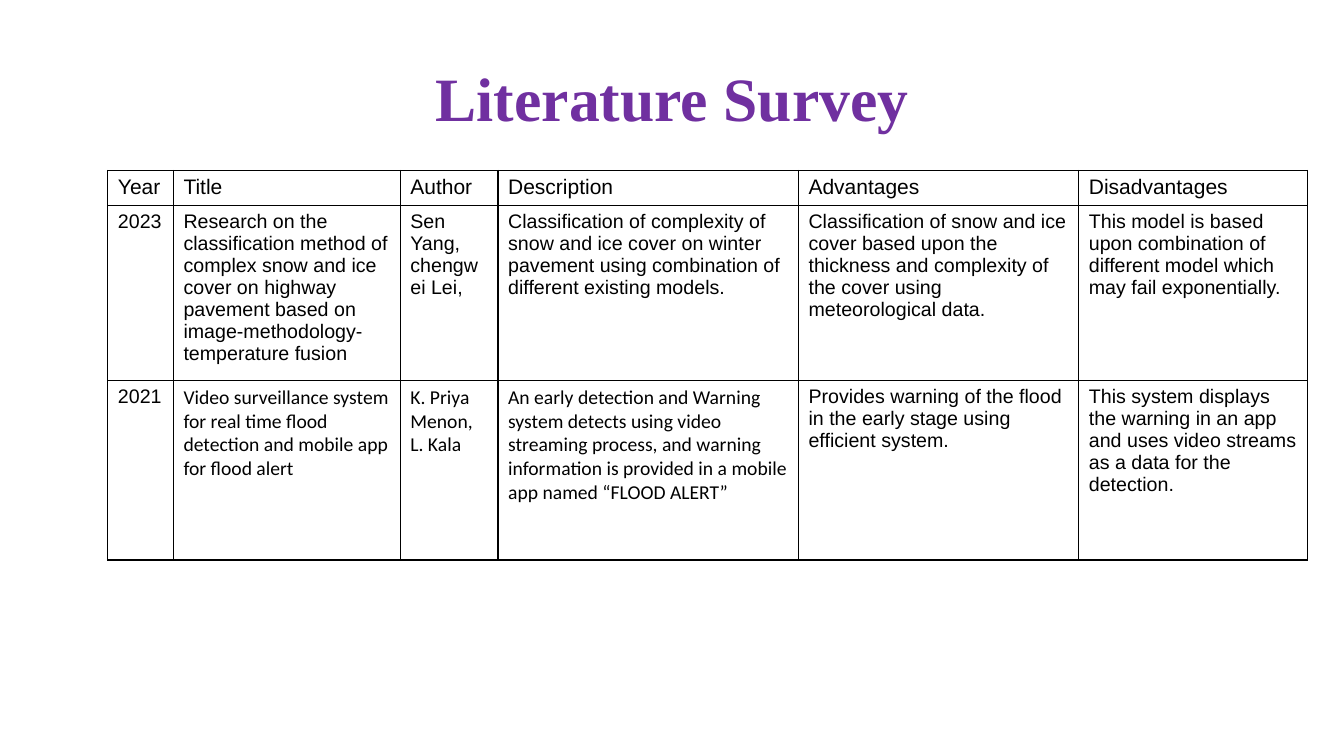
from lxml.etree import SubElement
from pptx import Presentation
from pptx.dml.color import RGBColor
from pptx.enum.text import MSO_ANCHOR, PP_ALIGN
from pptx.oxml.ns import qn
from pptx.util import Inches, Pt

PURPLE = RGBColor(0x70, 0x30, 0xA0)
BLACK = RGBColor(0, 0, 0)

TITLE_FORMAT = {"name": "Times New Roman", "size": Pt(44), "bold": True}
HEADER_FORMAT = {"name": "Arial", "size": Pt(15), "bold": False}
BODY_FORMAT = {"name": "Arial", "size": Pt(14), "bold": False}
CALIBRI_FORMAT = {**BODY_FORMAT, "name": "Calibri"}

COLUMN_WIDTHS = [0.65, 2.25, 0.97, 2.98, 2.78, 2.27]
ROW_HEIGHTS = [0.3, 1.47, 1.78]
SURVEY = [
    ["Year", "Title", "Author", "Description", "Advantages", "Disadvantages"],
    [
        "2023",
        "Research on the classification method of complex snow and ice cover "
        "on highway pavement based on image-methodology-temperature fusion",
        "Sen Yang, chengwei Lei,",
        "Classification of complexity of snow and ice cover on winter pavement "
        "using combination of different existing models.",
        "Classification of snow and ice cover based upon the thickness and "
        "complexity of the cover using meteorological data.",
        "This model is based upon combination of different model which may "
        "fail exponentially.",
    ],
    [
        "2021",
        "Video surveillance system for real time flood detection and mobile "
        "app for flood alert",
        "K. Priya Menon, L. Kala",
        "An early detection and Warning system detects using video streaming "
        "process, and warning information is provided in a mobile app named "
        "“FLOOD ALERT”",
        "Provides warning of the flood in the early stage using efficient system.",
        "This system displays the warning in an app and uses video streams as "
        "a data for the detection.",
    ],
]
ROW_FORMATS = [
    [HEADER_FORMAT] * 6,
    [BODY_FORMAT] * 6,
    [BODY_FORMAT] + [CALIBRI_FORMAT] * 3 + [BODY_FORMAT] * 2,
]


def write_text(text_frame, text, color, font_format):
    """Write one formatted paragraph and return it."""
    paragraph = text_frame.paragraphs[0]
    run = paragraph.add_run()
    run.text = text
    run.font.color.rgb = color
    for attribute, value in font_format.items():
        setattr(run.font, attribute, value)
    return paragraph


def add_title(slide, text):
    """Add the centred slide title."""
    box = slide.shapes.add_textbox(Inches(0.92), Inches(0.4), Inches(11.5), Inches(1.21))
    text_frame = box.text_frame
    text_frame.word_wrap = True
    text_frame.vertical_anchor = MSO_ANCHOR.MIDDLE
    paragraph = write_text(text_frame, text, PURPLE, TITLE_FORMAT)
    paragraph.alignment = PP_ALIGN.CENTER
    paragraph.line_spacing = 0.9


def set_borders(cell):
    """Draw a thin black line on each side of a cell."""
    properties = cell._tc.get_or_add_tcPr()
    for side in ("a:lnL", "a:lnR", "a:lnT", "a:lnB"):
        line = SubElement(properties, qn(side), w=str(Pt(1)))
        fill = SubElement(line, qn("a:solidFill"))
        SubElement(fill, qn("a:srgbClr"), val=str(BLACK))


def add_survey_table(slide):
    """Add the bordered table of surveyed papers."""
    frame = slide.shapes.add_table(
        len(ROW_HEIGHTS), len(COLUMN_WIDTHS), Inches(1.07), Inches(1.69),
        Inches(sum(COLUMN_WIDTHS)), Inches(sum(ROW_HEIGHTS)),
    )
    table = frame.table
    table.first_row = table.horz_banding = False
    for column, width in zip(table.columns, COLUMN_WIDTHS):
        column.width = Inches(width)
    for row, height, texts, formats in zip(table.rows, ROW_HEIGHTS, SURVEY, ROW_FORMATS):
        row.height = Inches(height)
        for cell, text, font_format in zip(row.cells, texts, formats):
            set_borders(cell)
            cell.fill.background()
            write_text(cell.text_frame, text, BLACK, font_format)


def main():
    """Build the literature survey slide."""
    presentation = Presentation()
    presentation.slide_width = Inches(13.33)
    presentation.slide_height = Inches(7.5)
    slide = presentation.slides.add_slide(presentation.slide_layouts[6])
    add_title(slide, "Literature Survey")
    add_survey_table(slide)
    presentation.save("out.pptx")


if __name__ == "__main__":
    main()
